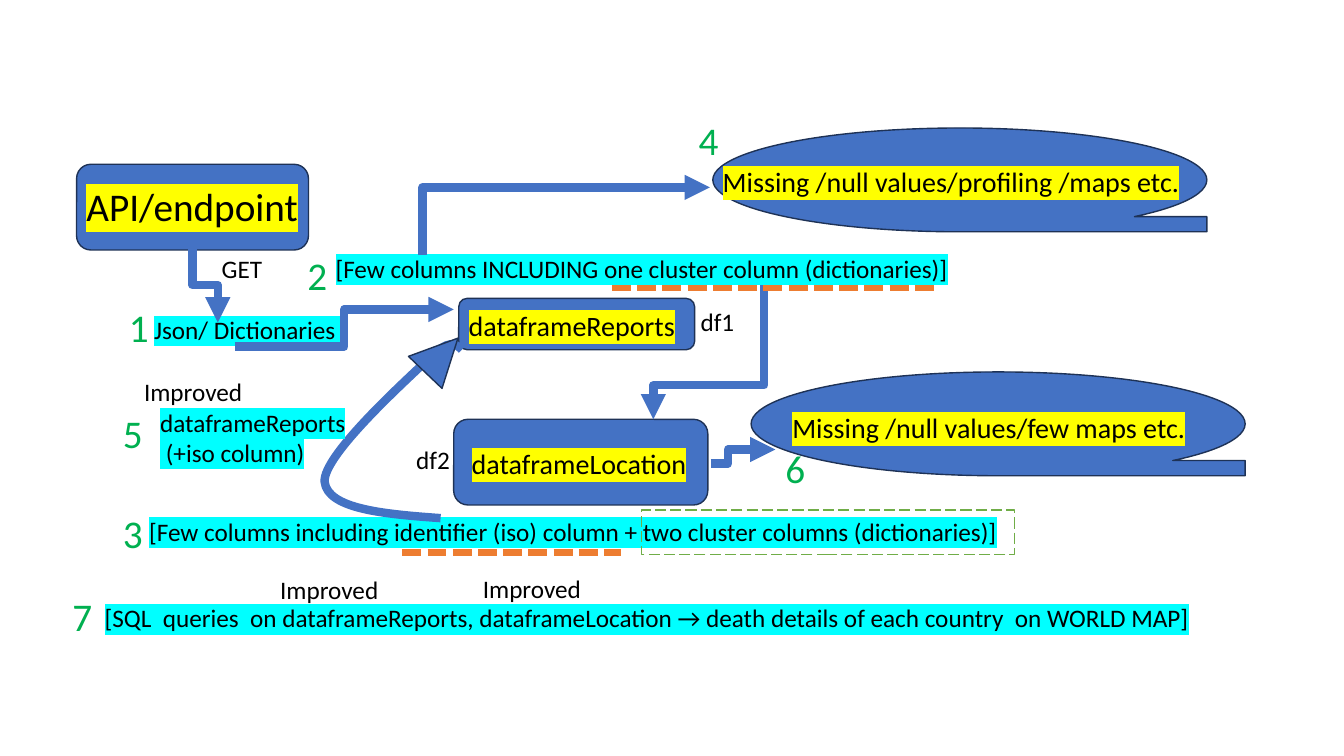
from lxml import etree
from pptx import Presentation
from pptx.dml.color import RGBColor
from pptx.enum import dml, shapes
from pptx.oxml.ns import qn
from pptx.util import Inches, Pt

BLUE, NAVY = RGBColor(0x44, 0x72, 0xC4), RGBColor(0x1E, 0x32, 0x56)
BLACK, GREEN = RGBColor(0, 0, 0), RGBColor(0, 0xB0, 0x50)
ORANGE, LEAF = RGBColor(0xED, 0x7D, 0x31), RGBColor(0x70, 0xAD, 0x47)
YELLOW, CYAN = RGBColor(0xFF, 0xFF, 0), RGBColor(0, 0xFF, 0xFF)
ROUND = shapes.MSO_SHAPE.ROUNDED_RECTANGLE
TAPE = shapes.MSO_SHAPE.FLOWCHART_SEQUENTIAL_ACCESS_STORAGE

# Blocks: preset, left, top, width, height
BLOCKS = [
    (ROUND, 0.76, 1.63, 2.3, 0.85),
    (ROUND, 4.55, 2.96, 2.34, 0.51),
    (ROUND, 4.5, 4.16, 2.52, 0.85),
    (TAPE, 7.07, 1.27, 4.9, 1.03),
    (TAPE, 7.45, 3.69, 4.9, 1.03),
]
# Labels: text, left, top, width, point size, highlight
BLOCK_LABELS = [
    ("API/endpoint", 0.76, 1.76, 2.47, 28, YELLOW),
    ("dataframeReports", 4.55, 3.01, 2.47, 20, YELLOW),
    ("dataframeLocation", 4.58, 4.38, 2.47, 20, YELLOW),
    ("Missing /null values/profiling /maps etc.", 7.07, 1.58, 5.04, 20, YELLOW),
    ("Missing /null values/few maps etc.", 7.76, 4.02, 4.34, 20, YELLOW),
    ("Json/ Dictionaries ", 1.43, 3.07, 2.07, 18, CYAN),
    ("[Few columns INCLUDING one cluster column (dictionaries)]",
     3.23, 2.46, 6.83, 18, CYAN),
    ("[Few columns including identifier (iso) column + two cluster columns (dictionaries)]",
     1.38, 5.07, 8.68, 18, CYAN),
]
NOTES = [
    ("dataframeReports\n (+iso column)", 1.49, 3.99, 2.21, 18, CYAN),
    ("[SQL  queries  on dataframeReports, dataframeLocation → death details "
     "of each country  on WORLD MAP]", 0.94, 5.93, 11.31, 18, CYAN),
    ("GET", 2.1, 2.46, 0.89, 18, None),
    ("df1", 6.85, 2.99, 0.65, 18, None),
    ("df2", 4.03, 4.36, 0.65, 18, None),
    ("Improved", 1.33, 3.68, 1.31, 18, None),
    ("Improved", 2.68, 5.65, 1.31, 18, None),
    ("Improved", 4.69, 5.64, 1.31, 18, None),
]
# Step numbers 1 to 7: left, top
STEPS = [(1.18, 2.96), (2.95, 2.44), (1.12, 5), (6.83, 1.1),
         (1.12, 4.01), (7.69, 4.36), (0.62, 5.83)]
# Arrows: start, end, share of the way to the bend, leaves vertically
ARROWS = [
    ((1.91, 2.46), (2.16, 3.2), 0.5, True),
    ((2.33, 3.44), (4.5, 3.07), 0.5, False),
    ((7.58, 2.83), (6.48, 4.16), 0.746, True),
    ((4.19, 2.53), (7.04, 1.86), 0, False),
    ((7.05, 4.6), (7.69, 4.46), 0.266, False),
]
# Underlines: left, right, height on the page
UNDERLINES = [(6.07, 9.32, 2.86), (3.99, 6.16, 5.48)]
# Return curve: start, then control, control, end for each stretch
CURVE = [(4.37, 5.14), (3.81, 5.1), (3.25, 5.05), (3.22, 4.78),
         (3.2, 4.52), (4.01, 3.79), (4.24, 3.57),
         (4.46, 3.35), (4.52, 3.41), (4.58, 3.47)]

deck = Presentation()
deck.slide_width, deck.slide_height = Inches(13.33), Inches(7.5)
page = deck.slides.add_slide(deck.slide_layouts[6])


def outline(item, color, width, dash=None):
    item.line.color.rgb = color
    item.line.width = Pt(width)
    if dash:
        item.line.dash_style = dash


def add_block(preset, *place, fill=BLUE):
    block = page.shapes.add_shape(preset, *map(Inches, place))
    block.shadow.inherit = False
    if fill is None:
        block.fill.background()
    else:
        block.fill.solid()
        block.fill.fore_color.rgb = fill
    outline(block, NAVY, 1)
    return block


def add_label(words, left, top, width, size, highlight=None, color=BLACK):
    lines = words.split("\n")
    height = 0.1 + len(lines) * size / 60
    box = page.shapes.add_textbox(*map(Inches, (left, top, width, height)))
    box.text_frame.word_wrap = True
    box.text_frame.text = words
    for para in box.text_frame.paragraphs:
        para.font.name, para.font.size = "Calibri", Pt(size)
        para.font.color.rgb = color
        if highlight:
            span = para.runs[0].font._element
            mark = etree.SubElement(span, qn("a:highlight"))
            etree.SubElement(mark, qn("a:srgbClr"), val=str(highlight))


def add_link(kind, start, end, color, width, dash=None):
    link = page.shapes.add_connector(kind, *map(Inches, start + end))
    outline(link, color, width, dash)
    etree.SubElement(link._element.spPr, qn("a:effectLst"))
    return link


def add_arrow(start, end, bend, vertical):
    (x1, y1), (x2, y2) = start, end
    if vertical:
        # Lay the connector on its side about its centre, then turn it
        middle_x, middle_y = (x1 + x2) / 2, (y1 + y2) / 2
        half_w, half_h = abs(y2 - y1) / 2, abs(x2 - x1) / 2
        side = 1 if x2 < x1 else -1
        start = (middle_x - side * half_w, middle_y - half_h)
        end = (middle_x + side * half_w, middle_y + half_h)
    arrow = add_link(shapes.MSO_CONNECTOR.ELBOW, start, end, BLUE, 6)
    properties = arrow._element.spPr
    if vertical:
        properties.find(qn("a:xfrm")).set("rot", str((90 if side > 0 else 270) * 60000))
    guides = properties.find(qn("a:prstGeom")).get_or_add_avLst()
    etree.SubElement(guides, qn("a:gd"), name="adj1", fmla=f"val {round(bend * 100000)}")
    etree.SubElement(properties.find(qn("a:ln")), qn("a:tailEnd"), type="triangle")


# Blocks and their labels
for block in BLOCKS:
    add_block(*block)
for label in BLOCK_LABELS:
    add_label(*label)

# Arrows and underlines
for arrow in ARROWS:
    add_arrow(*arrow)
for left, right, level in UNDERLINES:
    add_link(shapes.MSO_CONNECTOR.STRAIGHT, (left, level), (right, level),
             ORANGE, 4.5, dml.MSO_LINE.SQUARE_DOT)

# Return curve: every three line points become one Bezier stretch
builder = page.shapes.build_freeform(*CURVE[0], scale=Inches(1))
builder = page.shapes.build_freeform(*map(Inches, CURVE[0]))
builder.add_line_segments([tuple(map(Inches, point)) for point in CURVE[1:]], close=False)
curve = builder.convert_to_shape()
curve.shadow.inherit = False
curve.fill.background()
outline(curve, BLUE, 6)
legs = curve._element.xpath(".//a:lnTo")
for first in range(0, len(legs), 3):
    stretch = etree.SubElement(legs[first].getparent(), qn("a:cubicBezTo"))
    for leg in legs[first:first + 3]:
        stretch.append(leg[0])
        leg.getparent().remove(leg)
head = add_block(shapes.MSO_SHAPE.ISOSCELES_TRIANGLE, 4.15, 3.29, 0.46, 0.47)
head.rotation = 43.7

# Notes, step numbers and the cluster frame
for note in NOTES:
    add_label(*note)
for number, (left, top) in enumerate(STEPS, 1):
    add_label(str(number), left, top, 0.61, 28, color=GREEN)
frame = add_block(shapes.MSO_SHAPE.RECTANGLE, 6.36, 5.06, 3.7, 0.44, fill=None)
outline(frame, LEAF, 1, dml.MSO_LINE.LONG_DASH)

deck.save("out.pptx")
